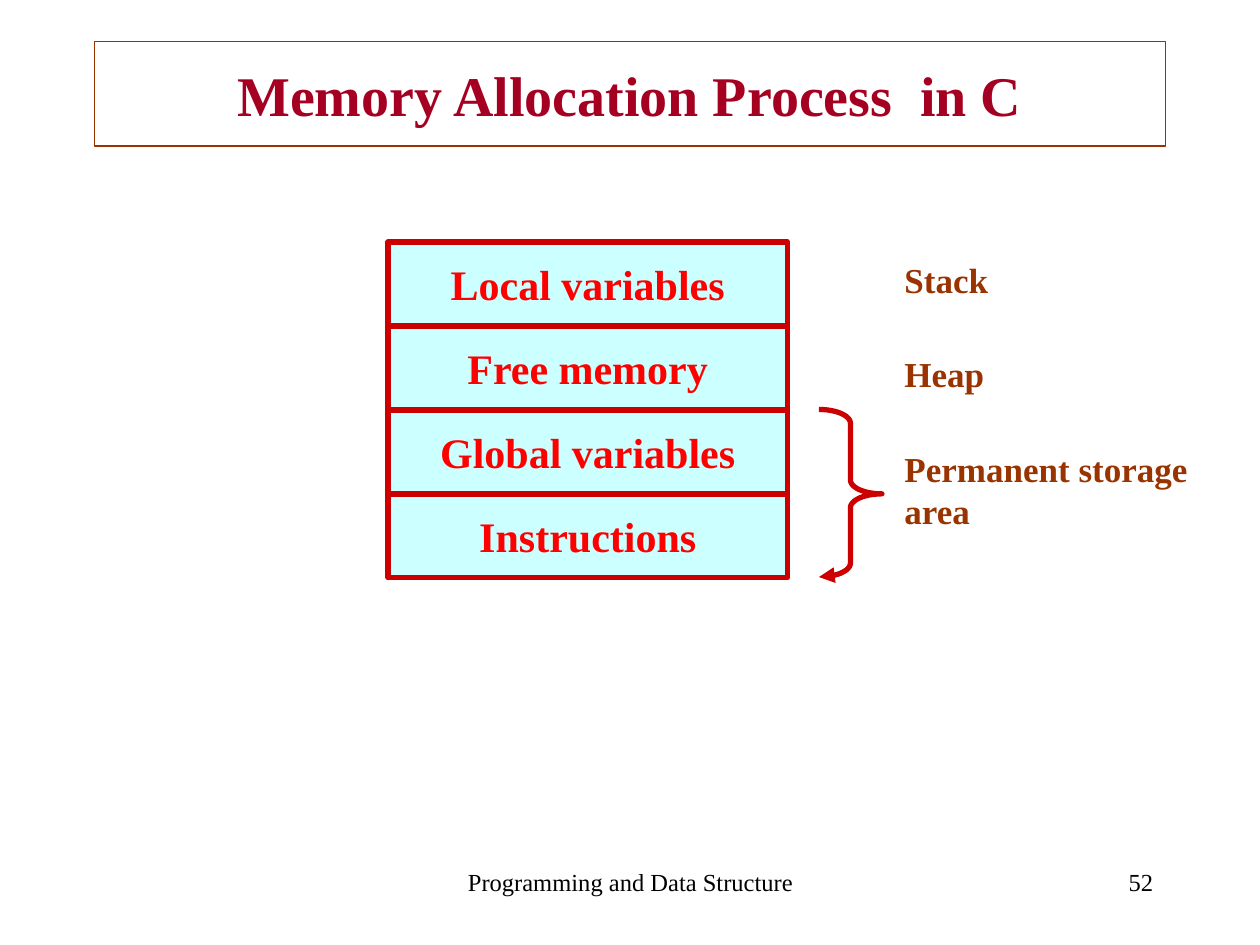
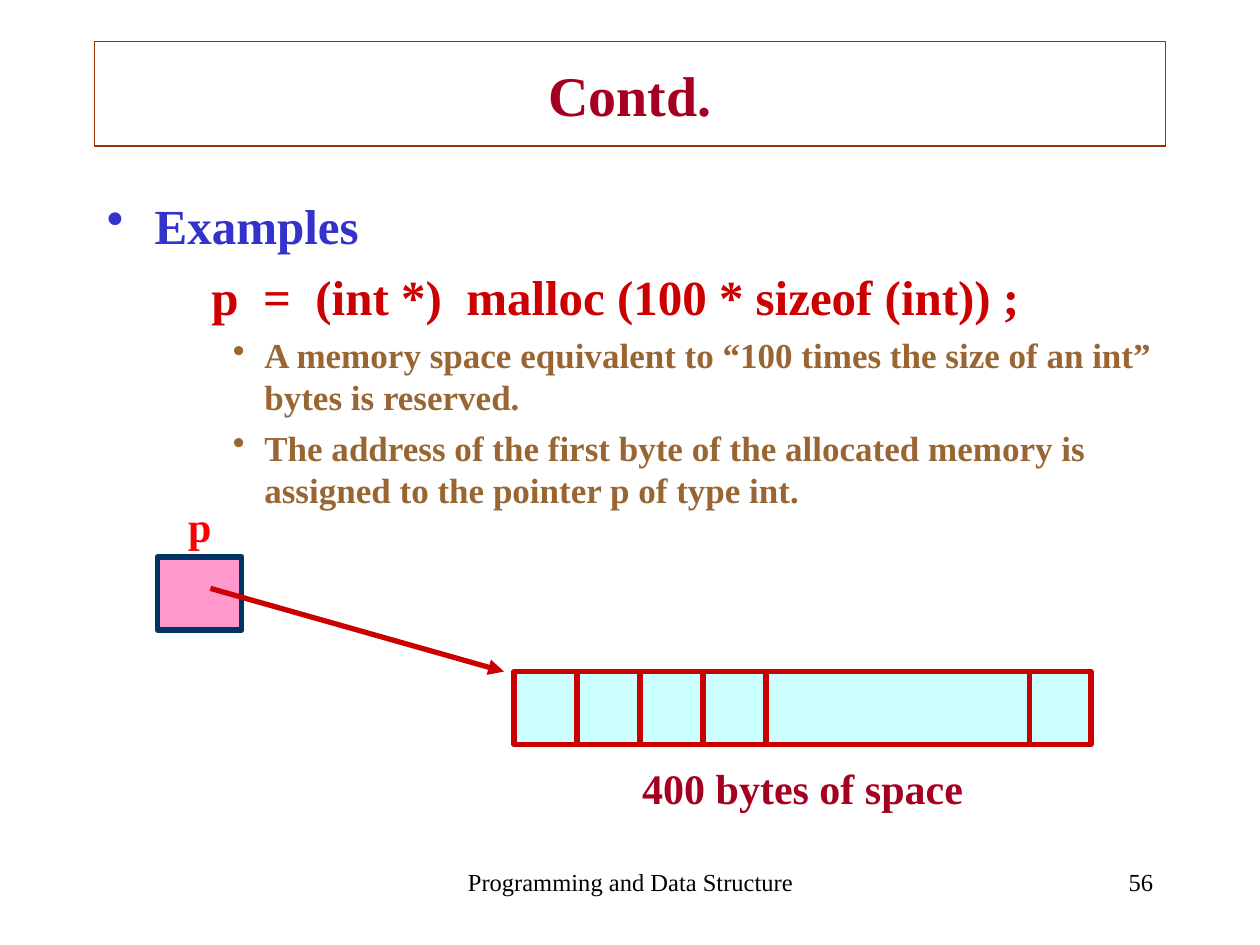
"""Build two slides on memory allocation in C."""
import math

import lxml.etree
import pptx
import pptx.dml.color
import pptx.enum.shapes
import pptx.enum.text
import pptx.oxml.ns
import pptx.util

Inches, Pt = pptx.util.Inches, pptx.util.Pt
RGB = pptx.dml.color.RGBColor.from_string
ALIGN = pptx.enum.text.PP_ALIGN
ANCHOR = pptx.enum.text.MSO_ANCHOR
qn = pptx.oxml.ns.qn


class Theme:
    font = "Times New Roman"
    black, maroon, brown, tan = "000000", "A50021", "993300", "996633"
    red, line_red, blue = "FF0000", "CC0000", "3333CC"
    cyan, pink, navy = "CCFFFF", "FF99CC", "003366"
    title, head, label, note, footer = 32, 28, 24, 20, 14
    thin, thick = 0.75, 3


def add_box(s, x, y, w, h, fill=None, line=None, width=Theme.thick, wrap=True):
    at = [Inches(v) for v in (x, y, w, h)]
    if line:
        sp = s.shapes.add_shape(pptx.enum.shapes.MSO_SHAPE.RECTANGLE, *at)
        sp.shadow.inherit = False
        sp.line.color.rgb = RGB(line)
        sp.line.width = Pt(width)
        if fill:
            sp.fill.solid()
            sp.fill.fore_color.rgb = RGB(fill)
        else:
            sp.fill.background()
    else:
        sp = s.shapes.add_textbox(*at)
    tf = sp.text_frame
    tf.word_wrap = wrap
    tf.vertical_anchor = ANCHOR.MIDDLE if line else ANCHOR.TOP
    return tf


def write(tf, text, size, color, bold=True, align=ALIGN.LEFT, left=0, hang=0, before=0, bullet=False):
    p = tf.add_paragraph() if tf.text else tf.paragraphs[0]
    p.alignment = align
    pPr = p._p.get_or_add_pPr()
    pPr.set("marL", str(Inches(left)))
    pPr.set("indent", str(-Inches(hang)))
    if before:
        p.space_before = Pt(before)
    if bullet:
        bu_color = lxml.etree.SubElement(pPr, qn("a:buClr"))
        lxml.etree.SubElement(bu_color, qn("a:srgbClr"), val=color)
        lxml.etree.SubElement(pPr, qn("a:buChar"), char="•")
    r = p.add_run()
    r.text = text
    r.font.name = Theme.font
    r.font.size = Pt(size)
    r.font.bold = bold
    r.font.color.rgb = RGB(color)


prs = pptx.Presentation()
prs.slide_width, prs.slide_height = Inches(10), Inches(7.5)

slides = []
for title, number in [("Memory Allocation Process  in C", "52"), ("Contd.", "56")]:
    s = prs.slides.add_slide(prs.slide_layouts[6])
    write(add_box(s, 3.42, 6.83, 3.17, 0.5), "Programming and Data Structure",
          Theme.footer, Theme.black, bold=False, align=ALIGN.CENTER)
    write(add_box(s, 7.17, 6.83, 2.08, 0.5), number,
          Theme.footer, Theme.black, bold=False, align=ALIGN.RIGHT)
    write(add_box(s, 0.75, 0.33, 8.5, 0.83, line=Theme.brown, width=Theme.thin), title,
          Theme.title, Theme.maroon, align=ALIGN.CENTER)
    slides.append(s)
memory, example = slides

segments = ["Local variables", "Free memory", "Global variables", "Instructions"]
segment_h = 2 / 3
for i, segment in enumerate(segments):
    tf = add_box(memory, 3.08, 1.92 + i * segment_h, 3.17, segment_h,
                 Theme.cyan, Theme.line_red, wrap=False)
    write(tf, segment, Theme.label, Theme.red, align=ALIGN.CENTER)

rx, ry = 0.25, 0.11
quarters = [(6.5, 3.36, -90, 0), (7, 3.81, 180, 90), (7, 4.03, -90, -180), (6.5, 4.47, 0, 90)]
steps = 12
points = []
for cx, cy, start, end in quarters:
    for i in range(steps + 1):
        a = math.radians(start + (end - start) * i / steps)
        points.append((Inches(cx + rx * math.cos(a)), Inches(cy + ry * math.sin(a))))
outline = memory.shapes.build_freeform(*points[0])
outline.add_line_segments(points[1:], close=False)
brace = outline.convert_to_shape()
brace.shadow.inherit = False
brace.fill.background()

for text, y, h in [("Permanent storage area", 3.5, 0.77), ("Stack", 2, 0.44), ("Heap", 2.75, 0.44)]:
    write(add_box(memory, 7.08, y, 2.67, h), text, Theme.note, Theme.brown)

body = add_box(example, 0.75, 1.5, 8.5, 5.17)
write(body, "Examples", Theme.head, Theme.blue, left=0.38, hang=0.38, bullet=True)
write(body, "p  =  (int *)  malloc (100 * sizeof (int)) ;", Theme.head, Theme.line_red,
      left=0.83, before=7)
for text in [
    "A memory space equivalent to “100 times the size of an int” bytes is reserved.",
    "The address of the first byte of the allocated memory is assigned to the pointer p of type int.",
]:
    write(body, text, Theme.note, Theme.tan, left=1.25, hang=0.25, before=5, bullet=True)

block_x, block_y, block_h = 4.08, 5.33, 0.58
add_box(example, block_x, block_y, 4.58, block_h, Theme.cyan, Theme.line_red)
add_box(example, 1.25, 4.42, 0.67, 0.58, Theme.pink, Theme.navy)

dividers = [block_x + 0.5 * i for i in range(1, 5)] + [8.17]
ends = [(x, block_y, x, block_y + block_h) for x in dividers] + [(1.67, 4.67, 4, block_y)]
connectors = []
for end in ends:
    c = example.shapes.add_connector(pptx.enum.shapes.MSO_CONNECTOR.STRAIGHT, *[Inches(v) for v in end])
    connectors.append(c)
pointer = connectors[-1]

for sp in [brace, *connectors]:
    sp.line.color.rgb = RGB(Theme.line_red)
    sp.line.width = Pt(Theme.thick)
for sp in [brace, pointer]:
    lxml.etree.SubElement(sp._element.spPr.find(qn("a:ln")), qn("a:tailEnd"), type="triangle")
for c in connectors:
    lxml.etree.SubElement(c._element.spPr, qn("a:effectLst"))

write(add_box(example, 1.25, 3.92, 0.67, 0.5), "p", Theme.label, Theme.red, align=ALIGN.CENTER)
write(add_box(example, 4.33, 6, 4.08, 0.5), "400 bytes of space", Theme.label, Theme.maroon,
      align=ALIGN.CENTER)

prs.save("out.pptx")
